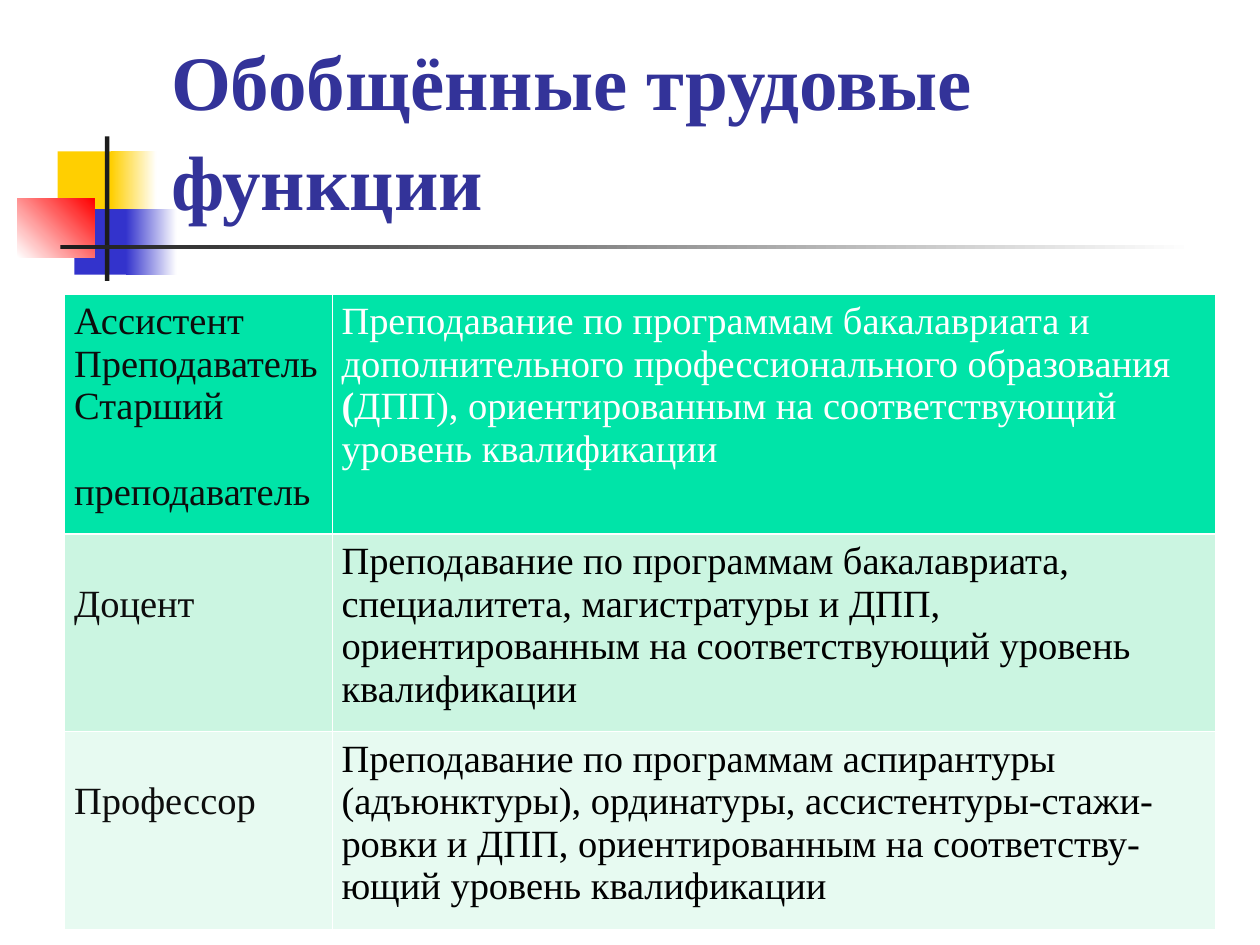
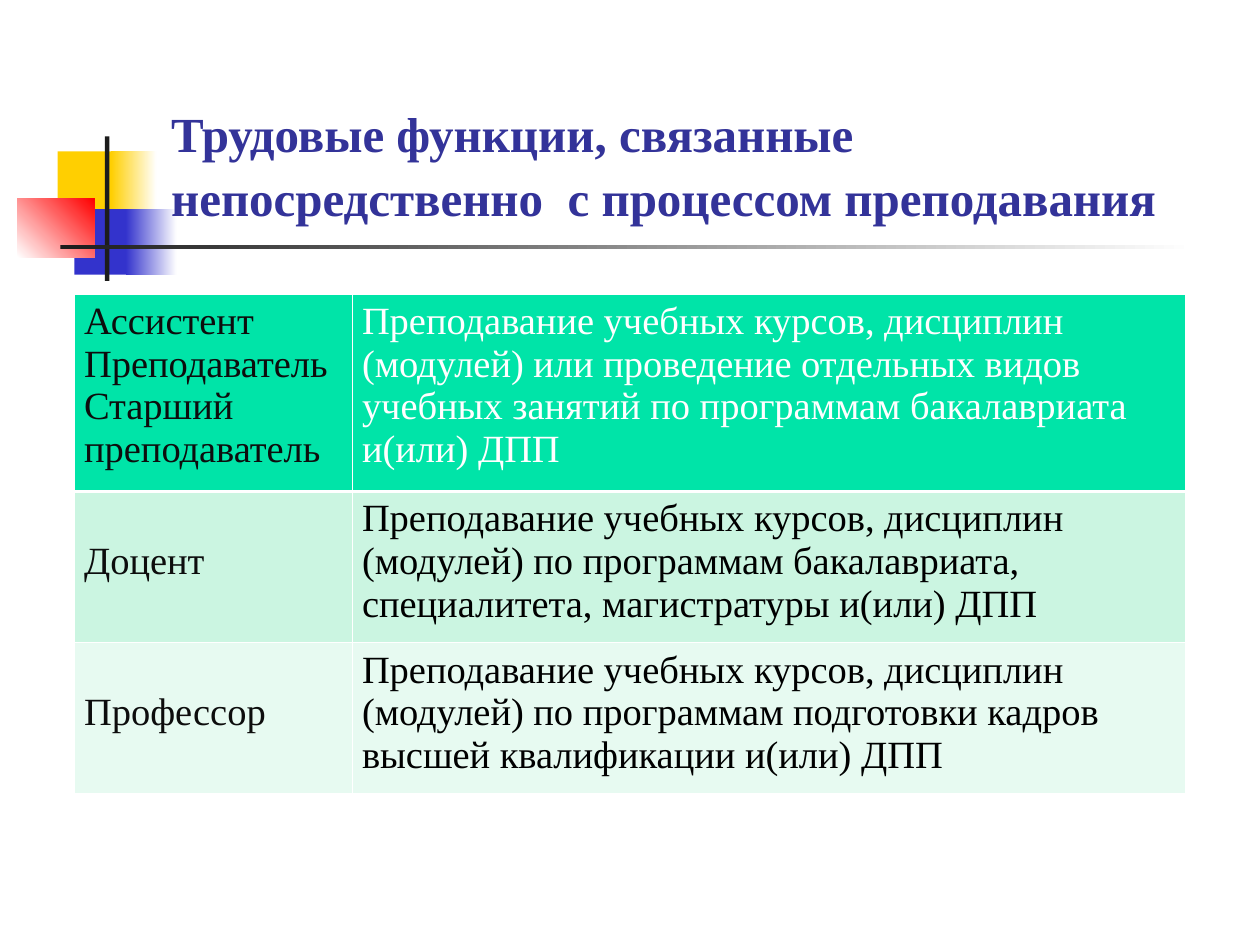
from pptx import Presentation
from pptx.dml.color import RGBColor
from pptx.enum.shapes import MSO_SHAPE as Shape
from pptx.enum.text import MSO_ANCHOR as Anchor
from pptx.oxml import parse_xml
from pptx.oxml.ns import nsdecls
from pptx.util import Pt

WHITE, BLACK, INK = "FFFFFF", "000000", "0D0D0D"
YELLOW, BLUE, RED, DARK = "FFCF01", "3333CC", "FF0000", "1C1C1C"
TITLE_COLOR = "333399"
ROW_FILLS = ["00E4A8", "CBF5E1", "E7FAF1"]
DUTY_COLORS = [WHITE, BLACK, BLACK]
FONT, TABLE_SIZE = "Times New Roman", 22
LINE_HEIGHT = 24.4  # one line of table text
THIN, THICK = 0.45, 1.47

# Corner motif: left, top, width, height, colours, gradient angle
MOTIF = [
    (33, 86.5, 34.5, 37.5, [YELLOW], 0),
    (63.5, 86.5, 26, 37.5, [YELLOW, WHITE], 0),
    (42.5, 119.5, 33, 37.5, [BLUE], 0),
    (72, 119.5, 29, 37.5, [BLUE, WHITE], 0),
    (10, 113.5, 44, 33.5, [WHITE, RED], 45),
    (60, 78, 2.5, 82.5, [DARK], 0),
    (34.5, 140, 648, 2.5, [DARK, WHITE], 0),
]


def rgb(color):
    return RGBColor.from_string(color)


class Deck:
    def __init__(self):
        self.prs = Presentation()
        self.prs.slide_width, self.prs.slide_height = Pt(720), Pt(540)
        self.slide = None

    def new_slide(self, title, title_size):
        self.slide = self.prs.slides.add_slide(self.prs.slide_layouts[6])
        for block in MOTIF:
            self.block(*block)
        self.title(title, title_size)

    def block(self, left, top, width, height, colors, angle):
        block = self.slide.shapes.add_shape(
            Shape.RECTANGLE, Pt(left), Pt(top), Pt(width), Pt(height))
        block.shadow.inherit = False
        block.line.fill.background()
        if len(colors) == 1:
            block.fill.solid()
            block.fill.fore_color.rgb = rgb(colors[0])
            return
        block.fill.gradient()
        block.fill.gradient_angle = angle
        for stop, color in zip(block.fill.gradient_stops, colors):
            stop.color.rgb = rgb(color)

    def title(self, text, size):
        frame = self.slide.shapes.add_textbox(
            Pt(90.7), Pt(16.5), Pt(613.5), Pt(115.2)).text_frame
        frame.word_wrap = True
        frame.vertical_anchor = Anchor.BOTTOM
        frame.margin_bottom = Pt(2.4)
        heading = frame.paragraphs[0]
        heading.line_spacing = 1.09
        self.set_text(heading, text, size, TITLE_COLOR, bold=True)

    def set_text(self, paragraph, text, size, color, bold=False):
        """Fill a paragraph; text between ** marks is bold."""
        font = paragraph.font
        font.name, font.size, font.bold = FONT, Pt(size), bold
        font.color.rgb = rgb(color)
        for index, part in enumerate(text.split("**")):
            run = paragraph.add_run()
            run.text = part
            if index % 2:
                run.font.bold = True

    def table(self, left, widths, heights, rows):
        table = self.slide.shapes.add_table(
            len(rows), len(widths), Pt(left), Pt(168),
            Pt(sum(widths)), Pt(sum(heights))).table
        table.first_row = table.horz_banding = False
        for column, width in zip(table.columns, widths):
            column.width = Pt(width)
        for index, (posts, duty) in enumerate(rows):
            table.rows[index].height = Pt(heights[index])
            post_cell, duty_cell = table.rows[index].cells
            self.cell(post_cell, index, posts, INK)
            self.cell(duty_cell, index, [duty], DUTY_COLORS[index])
            if index:  # single posts start on the second line
                post_cell.margin_top = Pt(3.6 + LINE_HEIGHT)
        return table

    def cell(self, cell, row, lines, color):
        self.borders(cell, top=THICK if row == 1 else THIN,
                     bottom=THICK if row == 0 else THIN)
        cell.fill.solid()
        cell.fill.fore_color.rgb = rgb(ROW_FILLS[row])
        cell.margin_left = cell.margin_right = Pt(5.4)
        cell.margin_top = cell.margin_bottom = Pt(3.6)
        frame = cell.text_frame
        for index, line in enumerate(lines):
            paragraph = frame.add_paragraph() if index else frame.paragraphs[0]
            self.set_text(paragraph, line, TABLE_SIZE, color)

    def borders(self, cell, top, bottom):
        properties = cell._tc.get_or_add_tcPr()
        for side, width in zip("LRTB", (THIN, THIN, top, bottom)):
            properties.append(parse_xml(
                f'<a:ln{side} {nsdecls("a")} w="{int(Pt(width))}"><a:solidFill>'
                f'<a:srgbClr val="{WHITE}"/></a:solidFill></a:ln{side}>'))


def main():
    deck = Deck()

    # General functions
    deck.new_slide("Обобщённые трудовые функции", 44)
    functions = deck.table(37, [152.8, 504.6], [131.8, 105.8, 105.8], [
        (["Ассистент", "Преподаватель", "Старший", "преподаватель"],
         "Преподавание по программам бакалавриата и дополнительного "
         "профессионального образования **(**ДПП), ориентированным на "
         "соответствующий уровень квалификации"),
        (["Доцент"],
         "Преподавание по программам бакалавриата, специалитета, "
         "магистратуры и ДПП, ориентированным на соответствующий "
         "уровень квалификации"),
        (["Профессор"],
         "Преподавание по программам аспирантуры (адъюнктуры), "
         "ординатуры, ассистентуры-стажи-ровки и ДПП, ориентированным "
         "на соответству-ющий уровень квалификации"),
    ])
    senior_post = functions.cell(0, 0).text_frame.paragraphs[-1]
    senior_post.space_before = Pt(LINE_HEIGHT)

    # Functions tied to teaching
    deck.new_slide("Трудовые функции, связанные непосредственно  "
                   "с процессом преподавания", 28)
    deck.table(42.7, [158.8, 475.8], [107.5, 80.3, 80.3], [
        (["Ассистент", "Преподаватель", "Старший преподаватель"],
         "Преподавание учебных курсов, дисциплин (модулей) или "
         "проведение отдельных видов учебных занятий по программам "
         "бакалавриата и(или) ДПП"),
        (["Доцент"],
         "Преподавание учебных курсов, дисциплин (модулей) по программам "
         "бакалавриата, специалитета, магистратуры и(или) ДПП"),
        (["Профессор"],
         "Преподавание учебных курсов, дисциплин (модулей) по программам "
         "подготовки кадров высшей квалификации и(или) ДПП"),
    ])

    deck.prs.save("out.pptx")


if __name__ == "__main__":
    main()
